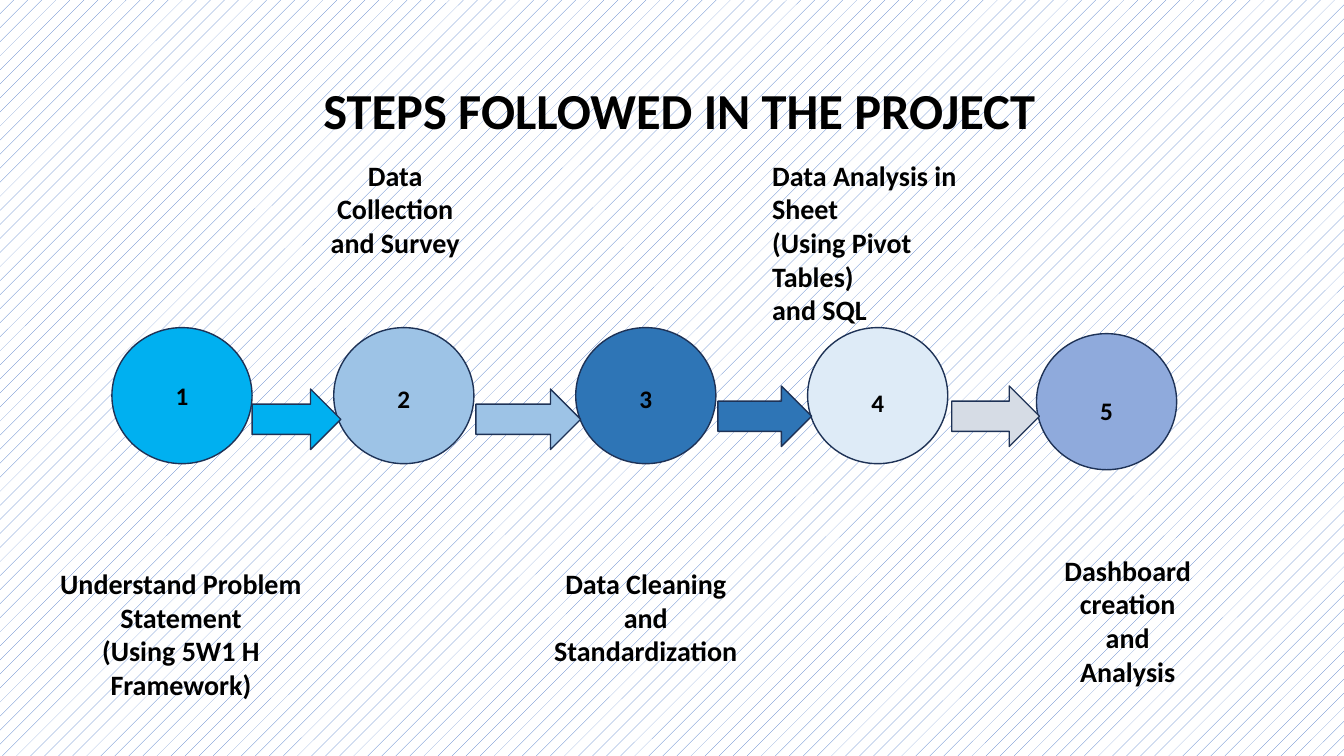
from pptx import Presentation
from pptx.dml.color import RGBColor
from pptx.enum.dml import MSO_PATTERN
from pptx.enum.shapes import MSO_SHAPE
from pptx.enum.text import MSO_AUTO_SIZE, PP_ALIGN
from pptx.util import Inches, Pt

COLORS = {
    "text": "000000", "outline": "1E3256", "hatch": "4472C4", "paper": "FFFFFF",
    "cyan": "00B0F0", "sky": "9DC3E6", "blue": "2E75B6", "ice": "DEEBF7",
    "periwinkle": "8FAADC", "gray": "D6DCE5",
}
FONT = "Calibri"
CIRCLE_SIZE = (1.39, 1.35)
NUMBER_SIZE = (0.51, 0.4)
ARROW_HEIGHT = 0.6

# Circle left and top, circle color, number top
STEPS = [
    (1.11, 3.25, "cyan", 3.72),
    (3.31, 3.25, "sky", 3.75),
    (5.71, 3.25, "blue", 3.75),
    (8.01, 3.25, "ice", 3.79),
    (10.28, 3.31, "periwinkle", 3.87),
]
# Left, top, width, color
ARROWS = [
    (2.5, 3.86, 0.88, "cyan"),
    (4.72, 3.86, 1.04, "sky"),
    (7.12, 3.83, 0.93, "blue"),
    (9.44, 3.83, 0.87, "gray"),
]
# Box, lines, alignment, wrap
LABELS = [
    ((0.48, 5.57, 2.63, 1.45),
     ["Understand Problem", "Statement", "(Using 5W1 H", "Framework)"],
     PP_ALIGN.CENTER, True),
    ((2.92, 1.52, 2, 1.11), ["Data", "Collection", "and Survey"],
     PP_ALIGN.CENTER, True),
    ((5.39, 5.57, 2.03, 1.11), ["Data Cleaning", "and", "Standardization"],
     PP_ALIGN.CENTER, False),
    ((7.56, 1.52, 2.44, 1.78),
     ["Data Analysis in Sheet", "(Using Pivot Tables)", "and SQL"],
     PP_ALIGN.LEFT, True),
    ((10.28, 5.44, 1.81, 1.45), ["Dashboard", "creation", "and", "Analysis"],
     PP_ALIGN.CENTER, True),
]


def color(name):
    return RGBColor.from_string(COLORS[name])


def add_text(page, box, lines, size, alignment=PP_ALIGN.CENTER, wrap=True):
    frame = page.shapes.add_textbox(*map(Inches, box)).text_frame
    frame.word_wrap = wrap
    frame.auto_size = MSO_AUTO_SIZE.SHAPE_TO_FIT_TEXT
    for index, line in enumerate(lines):
        para = frame.add_paragraph() if index else frame.paragraphs[0]
        para.alignment = alignment
        span = para.add_run()
        span.text = line
        span.font.name = FONT
        span.font.size = Pt(size)
        span.font.bold = True
        span.font.color.rgb = color("text")


def add_figure(page, kind, box, fill):
    shape = page.shapes.add_shape(kind, *map(Inches, box))
    shape.shadow.inherit = False
    shape.fill.solid()
    shape.fill.fore_color.rgb = color(fill)
    shape.line.color.rgb = color("outline")
    shape.line.width = Pt(1)


def paint_background(page):
    fill = page.background.fill
    fill.patterned()
    fill.pattern = MSO_PATTERN.PERCENT_5
    fill.fore_color.rgb = color("hatch")
    fill.back_color.rgb = color("paper")


def add_step(page, box, fill, number, number_top):
    left, top, width, height = box
    add_figure(page, MSO_SHAPE.FLOWCHART_CONNECTOR, box, fill)
    number_left = left + (width - NUMBER_SIZE[0]) / 2
    add_text(page, (number_left, number_top, *NUMBER_SIZE), [str(number)], 18)


def build_steps_slide(page):
    paint_background(page)
    # Title
    add_text(page, (3.11, 0.74, 7.73, 0.71),
             ["STEPS FOLLOWED IN THE PROJECT"], 36, PP_ALIGN.LEFT)
    # Numbered circles
    for number, (left, top, fill, number_top) in enumerate(STEPS, 1):
        add_step(page, (left, top, *CIRCLE_SIZE), fill, number, number_top)
    # Step descriptions
    for box, lines, alignment, wrap in LABELS:
        add_text(page, box, lines, 20, alignment, wrap)
    # Arrows between the circles
    for left, top, width, fill in ARROWS:
        add_figure(page, MSO_SHAPE.RIGHT_ARROW,
                   (left, top, width, ARROW_HEIGHT), fill)


def main():
    deck = Presentation()
    deck.slide_width = Inches(13.33)
    deck.slide_height = Inches(7.5)
    build_steps_slide(deck.slides.add_slide(deck.slide_layouts[6]))
    deck.save("out.pptx")


if __name__ == "__main__":
    main()
